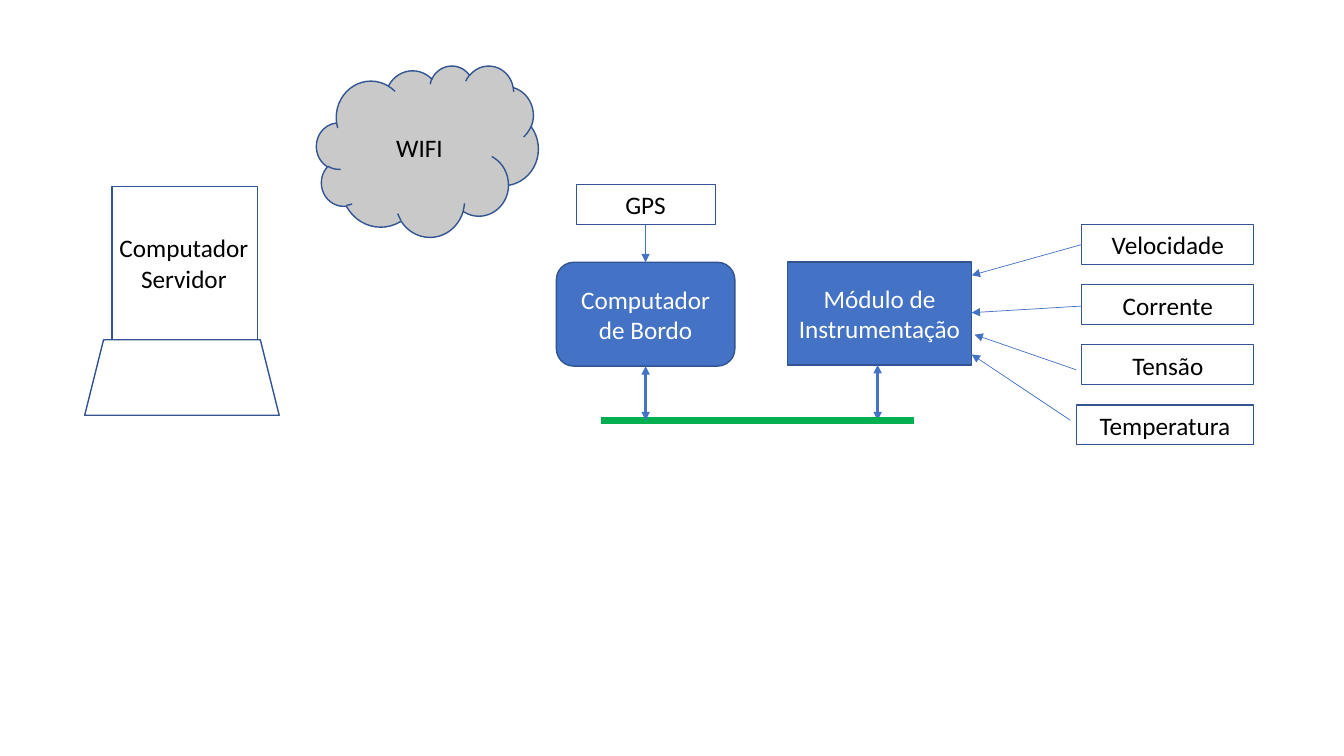
"""Builds the on-board telemetry architecture slide."""
from dataclasses import dataclass

from lxml import etree
from pptx import Presentation
from pptx.dml.color import RGBColor
from pptx.enum.shapes import MSO_CONNECTOR, MSO_SHAPE
from pptx.enum.text import MSO_ANCHOR, PP_ALIGN
from pptx.oxml.ns import qn
from pptx.util import Inches, Pt

RECT, ROUND = MSO_SHAPE.RECTANGLE, MSO_SHAPE.ROUNDED_RECTANGLE
CLOUD, TRAPEZOID = MSO_SHAPE.CLOUD, MSO_SHAPE.TRAPEZOID
STRAIGHT = MSO_CONNECTOR.STRAIGHT
TOP, MIDDLE = MSO_ANCHOR.TOP, MSO_ANCHOR.MIDDLE
CENTER = PP_ALIGN.CENTER
COLS, ROWS = 80, 45


@dataclass(frozen=True)
class Theme:
    """Colours, type and line widths."""
    font: str = "Calibri"
    size: float = 18
    dark: str = "000000"
    light: str = "FFFFFF"
    blue: str = "4472C4"
    edge: str = "325491"
    grey: str = "C9C9C9"
    green: str = "00B050"
    hairline: float = 0.5
    label_line: float = 0.75
    outline: float = 1
    link: float = 2
    bus: float = 5


@dataclass(frozen=True)
class Box:
    """A rectangle that places its contents by shares of its size."""
    x: float
    y: float
    w: float
    h: float

    def point(self, x, y):
        """Return the position at shares x and y."""
        return int(self.x + x * self.w), int(self.y + y * self.h)

    def area(self, x, y, w, h):
        """Return the box covering the given shares."""
        return Box(*self.point(x, y), int(w * self.w), int(h * self.h))

    def frame(self):
        """Return left, top, width and height."""
        return self.x, self.y, self.w, self.h


T = Theme()


def write(sp, text, color, anchor):
    """Set centred text in the theme font."""
    tf = sp.text_frame
    tf.word_wrap = True
    tf.vertical_anchor = anchor
    tf.text = text
    p = tf.paragraphs[0]
    p.alignment = CENTER
    for r in p.runs:
        r.font.name, r.font.size = T.font, Pt(T.size)
        r.font.color.rgb = RGBColor.from_string(color)


def block(slide, kind, box, fill=None, text="", color=T.dark, width=T.outline, anchor=MIDDLE):
    """Draw an outlined shape with optional fill and text."""
    sp = slide.shapes.add_shape(kind, *box.frame())
    sp.shadow.inherit = False
    if fill:
        sp.fill.solid()
        sp.fill.fore_color.rgb = RGBColor.from_string(fill)
    else:
        sp.fill.background()
    sp.line.color.rgb = RGBColor.from_string(T.edge)
    sp.line.width = Pt(width)
    if text:
        write(sp, text, color, anchor)


def label(slide, box, text):
    """Draw a thinly outlined label."""
    block(slide, RECT, box, text=text, width=T.label_line, anchor=TOP)


def connect(slide, start, end, color=T.blue, width=T.hairline, arrows=("tailEnd",)):
    """Draw a straight line with the given arrowheads."""
    sp = slide.shapes.add_connector(STRAIGHT, *start, *end)
    sp.line.color.rgb = RGBColor.from_string(color)
    sp.line.width = Pt(width)
    props = sp._element.spPr
    ln = props.find(qn("a:ln"))
    for arrow in arrows:
        etree.SubElement(ln, qn("a:" + arrow), type="triangle")
    etree.SubElement(props, qn("a:effectLst"))


def bus_link(slide, box, x, y):
    """Link a unit to the bus at the bottom of its box."""
    connect(slide, box.point(x, y), box.point(x, 1), width=T.link, arrows=("headEnd", "tailEnd"))


def wifi(slide, box):
    """Draw the wireless cloud."""
    block(slide, CLOUD, box, T.grey, "WIFI")


def instruments(slide, box):
    """Draw the instrumentation module and its bus link."""
    block(slide, RECT, box.area(0, 0, 1, 0.65), T.blue, "Módulo de Instrumentação", T.light)
    bus_link(slide, box, 0.49, 0.65)


def sensors(slide, box):
    """Draw the stacked sensor labels and their arrows."""
    rows = [
        ("Velocidade", 0.39, (0.39, 0.09), (0, 0.23)),
        ("Corrente", 0.39, (0.39, 0.37), (0, 0.4)),
        ("Tensão", 0.39, (0.37, 0.66), (0.01, 0.5)),
        ("Temperatura", 0.37, (0.35, 0.89), (0, 0.59)),
    ]
    height = 0.18
    pitch = (1 - height) / (len(rows) - 1)
    for i, (name, left, start, end) in enumerate(rows):
        label(slide, box.area(left, i * pitch, 1 - left, height), name)
        connect(slide, box.point(*start), box.point(*end))


def bus(slide, box):
    """Draw the data bus."""
    connect(slide, box.point(0, 0), box.point(1, 0), T.green, T.bus, ())


def onboard(slide, box):
    """Draw the on-board computer with its GPS and bus link."""
    block(slide, ROUND, box.area(0, 0.33, 1, 0.44), T.blue, "Computador de Bordo", T.light)
    bus_link(slide, box, 0.5, 0.77)
    label(slide, box.area(0.11, 0, 0.78, 0.17), "GPS")
    connect(slide, box.point(0.5, 0.17), box.point(0.5, 0.33))


def server(slide, box):
    """Draw the server as a laptop with a caption."""
    block(slide, RECT, box.area(0.14, 0, 0.75, 0.67), T.light)
    block(slide, TRAPEZOID, box.area(0, 0.67, 1, 0.33), T.light)
    caption = slide.shapes.add_textbox(*box.area(0.01, 0.18, 1, 0.31).frame())
    write(caption, "Computador Servidor", T.dark, TOP)


def main():
    """Place every region on the grid and save."""
    prs = Presentation()
    prs.slide_width, prs.slide_height = Inches(13.33), Inches(7.5)
    slide = prs.slides.add_slide(prs.slide_layouts[6])
    page = Box(0, 0, prs.slide_width, prs.slide_height)
    regions = [
        (wifi, 18.84, 3.9, 13.2, 10.2),
        (instruments, 46.86, 15.6, 10.98, 9.42),
        (sensors, 57.84, 13.38, 16.8, 13.08),
        (bus, 35.76, 25.02, 18.66, 0),
        (onboard, 33.12, 10.98, 10.62, 14.04),
        (server, 5.04, 11.1, 11.58, 13.62),
    ]
    for draw, col, row, cols, rows in regions:
        draw(slide, page.area(col / COLS, row / ROWS, cols / COLS, rows / ROWS))
    prs.save("out.pptx")


main()
